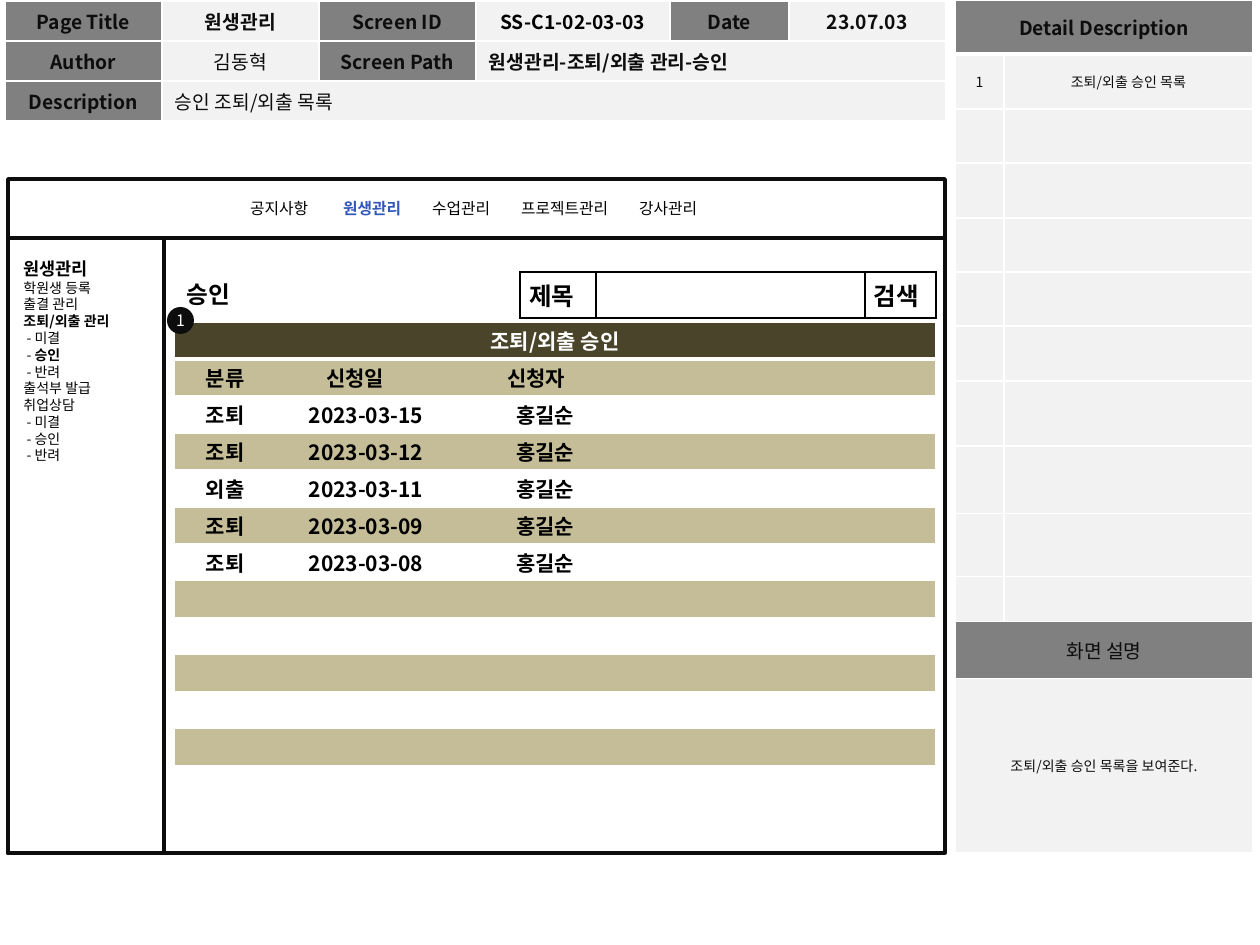
"""Build the approved early-leave and outing screen specification slide."""
import dataclasses
import typing

import pptx
import pptx.dml.color
import pptx.enum.shapes
import pptx.enum.text
import pptx.oxml.ns
import pptx.util
from lxml import etree

RGB = pptx.dml.color.RGBColor
ALIGN = pptx.enum.text.PP_ALIGN
MIDDLE = pptx.enum.text.MSO_ANCHOR.MIDDLE
SHAPE = pptx.enum.shapes.MSO_SHAPE
qn = pptx.oxml.ns.qn

BLACK = RGB(0x00, 0x00, 0x00)
WHITE = RGB(0xFF, 0xFF, 0xFF)
INK = RGB(0x0D, 0x0D, 0x0D)
GRAY = RGB(0x80, 0x80, 0x80)
PALE = RGB(0xF2, 0xF2, 0xF2)
OLIVE = RGB(0x4A, 0x45, 0x2A)
SAND = RGB(0xC4, 0xBD, 0x97)
BLUE = RGB(0x30, 0x57, 0xB9)
FONT = "Noto Sans CJK KR"
SCALE = 914400 / 126


class Box(typing.NamedTuple):
    left: int
    top: int
    width: int
    height: int


@dataclasses.dataclass(frozen=True)
class Run:
    text: str
    size: float
    bold: bool = False
    color: RGB = BLACK


@dataclasses.dataclass(frozen=True)
class Cell:
    fill: RGB
    run: Run | None = None
    align: ALIGN = ALIGN.CENTER
    span: int = 1
    tabs: tuple[int, ...] = ()


@dataclasses.dataclass(frozen=True)
class Grid:
    left: int
    top: int
    cols: list[int]
    rows: list[int]
    cells: list[list[Cell]]
    edge: RGB = WHITE
    head: int = 1
    inset: int = 9


def px(size: int) -> int:
    return round(size * SCALE)


def place(box: Box) -> list[int]:
    return [px(side) for side in box]


def write(para, runs: list[Run], align: ALIGN = ALIGN.LEFT) -> None:
    para.alignment = align
    for item in runs:
        run = para.add_run()
        run.text = item.text
        font = run.font
        font.size = pptx.util.Pt(item.size)
        font.bold = item.bold
        font.color.rgb = item.color
        font.name = FONT
        etree.SubElement(run._r.get_or_add_rPr(), qn("a:ea"), typeface=FONT)


def set_tabs(para, stops: tuple[int, ...], kind: str) -> None:
    group = etree.SubElement(para._p.get_or_add_pPr(), qn("a:tabLst"))
    for stop in stops:
        etree.SubElement(group, qn("a:tab"), pos=str(px(stop)), algn=kind)


def set_edges(cell, color: RGB, above: int, below: int) -> None:
    props = cell._tc.get_or_add_tcPr()
    for side, width in zip("LRTB", (1, 1, above, below)):
        line = etree.SubElement(props, qn(f"a:ln{side}"), w=str(pptx.util.Pt(width)))
        fill = etree.SubElement(line, qn("a:solidFill"))
        etree.SubElement(fill, qn("a:srgbClr"), val=str(color))


def draw_grid(slide, grid: Grid) -> None:
    box = Box(grid.left, grid.top, sum(grid.cols), sum(grid.rows))
    table = slide.shapes.add_table(len(grid.rows), len(grid.cols), *place(box)).table
    table.first_row = table.horz_banding = False
    for col, width in zip(table.columns, grid.cols):
        col.width = px(width)
    for row, height in zip(table.rows, grid.rows):
        row.height = px(height)
    for r, items in enumerate(grid.cells):
        c = 0
        for item in items:
            cell = table.cell(r, c)
            if item.span > 1:
                cell.merge(table.cell(r, c + item.span - 1))
            for part in range(c, c + item.span):
                set_edges(table.cell(r, part), grid.edge,
                          grid.head if r == 1 else 1, grid.head if r == 0 else 1)
            cell.fill.solid()
            cell.fill.fore_color.rgb = item.fill
            cell.vertical_anchor = MIDDLE
            cell.margin_left = cell.margin_right = px(grid.inset)
            cell.margin_top = cell.margin_bottom = px(2)
            para = cell.text_frame.paragraphs[0]
            if item.tabs:
                set_tabs(para, item.tabs, "ctr")
            if item.run:
                write(para, [item.run], item.align)
            else:
                para._p.get_or_add_endParaRPr().set("sz", "800")
            c += item.span


def draw_shape(slide, kind: SHAPE, box: Box, fill: RGB | None = None):
    shape = slide.shapes.add_shape(kind, *place(box))
    shape.shadow.inherit = False
    if fill is None:
        shape.fill.background()
        shape.line.color.rgb = INK
        shape.line.width = pptx.util.Pt(2)
    else:
        shape.fill.solid()
        shape.fill.fore_color.rgb = fill
        shape.line.fill.background()
    return shape


def clear_insets(frame) -> None:
    frame.margin_left = frame.margin_right = frame.margin_top = frame.margin_bottom = 0


def label(text: str) -> Cell:
    return Cell(GRAY, Run(text, 11, True, INK))


def value(text: str, bold: bool = True, color: RGB = INK,
          align: ALIGN = ALIGN.CENTER, span: int = 1) -> Cell:
    return Cell(PALE, Run(text, 11, bold, color), align, span)


def entry(index: int, texts: tuple[str, ...]) -> Cell:
    fill = WHITE if index % 2 else SAND
    if not texts:
        return Cell(fill)
    stops = (42, 183, 362) if index else (42, 172, 353)
    run = Run("".join(f"\t{text}" for text in texts), 12, True)
    return Cell(fill, run, ALIGN.LEFT, tabs=stops)


def draw_text(slide) -> None:
    title = slide.shapes.title
    title.left, title.top, title.width, title.height = place(Box(174, 274, 97, 40))
    frame = title.text_frame
    frame.vertical_anchor = MIDDLE
    write(frame.paragraphs[0], [Run("승인", 13.5, True)])

    menu = slide.shapes.add_textbox(*place(Box(250, 193, 470, 31))).text_frame
    clear_insets(menu)
    menu.word_wrap = True
    menu.vertical_anchor = MIDDLE
    para = menu.paragraphs[0]
    set_tabs(para, (93, 182, 271, 389), "l")
    write(para, [Run("공지사항\t", 9), Run("원생관리", 9, True, BLUE),
                 Run("\t수업관리\t프로젝트관리\t강사관리", 9)])

    side = slide.shapes.add_textbox(*place(Box(11, 252, 121, 237))).text_frame
    side.word_wrap = False
    lines = [[Run("원생관리", 10, True)], [Run("학원생 등록", 8)], [Run("출결 관리", 8)],
             [Run("조퇴/외출 관리", 8, True)], [Run(" - 미결", 8)],
             [Run(" - ", 8), Run("승인", 8, True)]]
    lines += [[Run(text, 8)] for text in
              (" - 반려", "출석부 발급", "취업상담", " - 미결", " - 승인", " - 반려")]
    for index, runs in enumerate(lines):
        write(side.add_paragraph() if index else side.paragraphs[0], runs)


def main() -> None:
    deck = pptx.Presentation()
    deck.slide_width, deck.slide_height = px(1260), px(945)
    slide = deck.slides.add_slide(deck.slide_layouts[5])
    find = [Cell(WHITE, Run("제목", 14, True), ALIGN.LEFT), Cell(WHITE),
            Cell(WHITE, Run("검색", 14, True), ALIGN.LEFT)]
    draw_grid(slide, Grid(520, 272, [76, 269, 71], [46], [find], BLACK))

    people = [("분류", "신청일", "신청자")]
    people += [(kind, f"2023-03-{day}", "홍길순") for kind, day in
               (("조퇴", "15"), ("조퇴", "12"), ("외출", "11"), ("조퇴", "09"), ("조퇴", "08"))]
    people += [()] * 6
    items = [[Cell(OLIVE, Run("조퇴/외출 승인", 12, True, WHITE))]]
    items += [[entry(index, texts)] for index, texts in enumerate(people)]
    draw_grid(slide, Grid(174, 322, [762], [37] * 13, items, head=3))

    info = [[label("Page Title"), value("원생관리"), label("Screen ID"),
             value("SS-C1-02-03-03", color=BLACK), label("Date"), value("23.07.03")],
            [label("Author"), value("김동혁", False), label("Screen Path"),
             value("원생관리-조퇴/외출 관리-승인", align=ALIGN.LEFT, span=3)],
            [label("Description"),
             value("승인 조퇴/외출 목록", False, align=ALIGN.LEFT, span=5)]]
    draw_grid(slide, Grid(5, 1, [157, 157, 157, 194, 119, 157], [40] * 3, info, inset=13))

    notes = [[Cell(GRAY, Run("Detail Description", 11, True, INK), span=2)],
             [Cell(PALE, Run(text, 8, color=INK)) for text in ("1", "조퇴/외출 승인 목록")]]
    notes += [[Cell(PALE)] * 2 for _ in range(8)]
    notes += [[Cell(GRAY, Run("화면 설명", 11, color=INK), span=2)],
              [Cell(PALE, Run("조퇴/외출 승인 목록을 보여준다.", 8, color=INK), span=2)]]
    heights = [54, 55, 54, 55, 54, 54, 55, 65, 68, 63, 45, 57, 174]
    notes.insert(2, [Cell(PALE)] * 2)
    draw_grid(slide, Grid(955, 0, [49, 249], heights, notes, head=3, inset=13))

    for box in (Box(8, 238, 937, 615), Box(8, 179, 937, 59), Box(8, 238, 156, 615)):
        draw_shape(slide, SHAPE.RECTANGLE, box)
    badge = draw_shape(slide, SHAPE.OVAL, Box(167, 307, 27, 27), INK).text_frame
    clear_insets(badge)
    badge.vertical_anchor = MIDDLE
    write(badge.paragraphs[0], [Run("1", 9, color=WHITE)], ALIGN.CENTER)
    draw_text(slide)
    deck.save("out.pptx")


if __name__ == "__main__":
    main()
